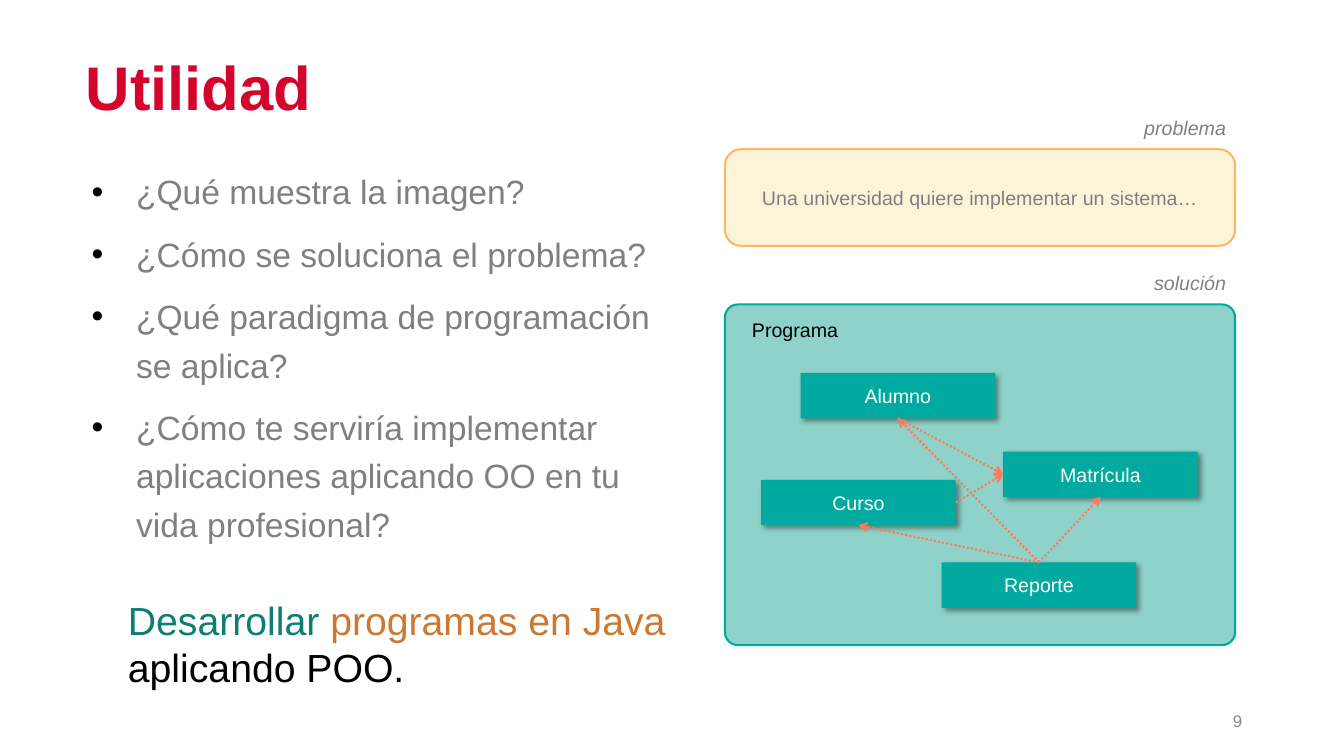
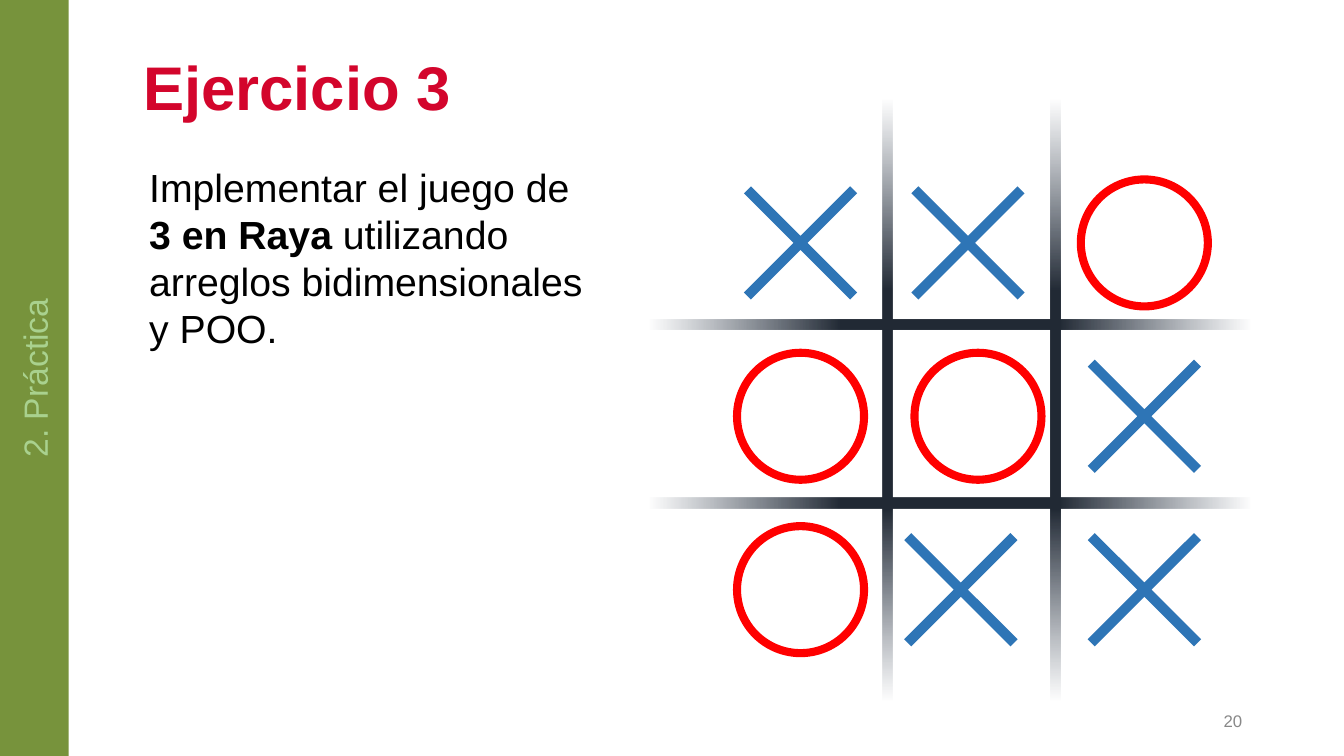
from dataclasses import dataclass

from lxml import etree
from pptx import Presentation
from pptx import util as u
from pptx.dml.color import RGBColor
from pptx.enum import dml, shapes, text
from pptx.oxml import ns

LEFT, CENTER, RIGHT = text.PP_ALIGN.LEFT, text.PP_ALIGN.CENTER, text.PP_ALIGN.RIGHT
TOP, MIDDLE = text.MSO_ANCHOR.TOP, text.MSO_ANCHOR.MIDDLE
SIDE_TOP, SIDE_LEFT, SIDE_BOTTOM, SIDE_RIGHT = range(4)


@dataclass(frozen=True)
class Theme:
    font: str = "Arial"
    title: str = "D3052C"
    black: str = "000000"
    white: str = "FFFFFF"
    gray: str = "808080"
    page_gray: str = "888888"
    teal: str = "00AAA0"
    pale_teal: str = "8ED2C9"
    dark_teal: str = "0E7D73"
    orange: str = "CC7832"
    coral: str = "FF7A5A"
    cream: str = "FCF4D9"
    amber: str = "FFB85F"
    band: str = "77933C"
    band_text: str = "A9D18E"
    cross: str = "2E75B6"
    ring: str = "FF0000"
    bar_end: str = "333F50"
    bar_core: str = "222A35"
    title_size: int = 44
    lead_size: int = 28
    body_size: int = 24
    label_size: int = 14
    page_size: int = 12


def child(parent, tag, **attributes):
    return etree.SubElement(parent, ns.qn(tag), attributes)


class Deck:
    def __init__(self, theme):
        self.theme = theme
        self.deck = Presentation()
        self.deck.slide_width = u.Inches(13.33)
        self.deck.slide_height = u.Inches(7.5)
        self.slide = None

    def new_slide(self, title, page, left):
        t = self.theme
        self.slide = self.deck.slides.add_slide(self.deck.slide_layouts[1])
        heading = self.place(self.slide.shapes.title, left, 0.47, 12.41 - left, 0.86)
        self.set_words(heading, title, t.title_size, t.title, bold=True, anchor=MIDDLE)
        heading.text_frame.paragraphs[0].line_spacing = 0.9
        self.label(page, 9.42, 6.95, 3, 0.4, t.page_size, t.page_gray,
                   align=RIGHT, anchor=MIDDLE)

    def place(self, shape, left, top, width, height):
        shape.left, shape.top = u.Inches(left), u.Inches(top)
        shape.width, shape.height = u.Inches(width), u.Inches(height)
        return shape

    def style(self, run, size, color, bold=False, italic=False):
        run.font.name = self.theme.font
        run.font.size = u.Pt(size)
        run.font.bold = bold
        run.font.italic = italic
        run.font.color.rgb = RGBColor.from_string(color)

    def set_words(self, shape, words, size, color, align=LEFT, anchor=TOP, **look):
        frame = shape.text_frame
        frame.text = words
        frame.word_wrap = True
        frame.auto_size = text.MSO_AUTO_SIZE.NONE
        frame.vertical_anchor = anchor
        for paragraph in frame.paragraphs:
            paragraph.alignment = align
            for run in paragraph.runs:
                self.style(run, size, color, **look)

    def set_parts(self, shape, parts, size, indent):
        self.set_words(shape, "", size, self.theme.black)
        paragraph = shape.text_frame.paragraphs[0]
        properties = paragraph._p.get_or_add_pPr()
        properties.set("marL", str(u.Inches(indent)))
        properties.set("indent", "0")
        child(properties, "a:buNone")
        paragraph.space_before = u.Pt(0)
        for words, color, bold in parts:
            run = paragraph.add_run()
            run.text = words
            self.style(run, size, color, bold=bold)

    def body(self, left, top, width, height):
        return self.place(self.slide.placeholders[1], left, top, width, height)

    def bullets(self, lines, left, top, width, height):
        t = self.theme
        questions = self.body(left, top, width, height)
        self.set_words(questions, "\n".join(lines), t.body_size, t.gray)
        for index, paragraph in enumerate(questions.text_frame.paragraphs):
            properties = paragraph._p.get_or_add_pPr()
            properties.set("marL", str(u.Inches(0.5)))
            properties.set("indent", str(u.Inches(-0.44)))
            child(child(properties, "a:buClr"), "a:srgbClr", val=t.black)
            child(properties, "a:buFont", typeface=t.font)
            child(properties, "a:buChar", char="•")
            paragraph.line_spacing = 1.2
            paragraph.space_before = u.Pt(10 if index else 0)

    def text_box(self, left, top, width, height):
        return self.slide.shapes.add_textbox(
            u.Inches(left), u.Inches(top), u.Inches(width), u.Inches(height))

    def label(self, words, left, top, width, height, size, color, **look):
        self.set_words(self.text_box(left, top, width, height), words, size, color, **look)

    def shape(self, kind, left, top, width, height, fill, line=None, adjust=None):
        shape = self.slide.shapes.add_shape(
            kind, u.Inches(left), u.Inches(top), u.Inches(width), u.Inches(height))
        shape.shadow.inherit = False
        shape.fill.solid()
        shape.fill.fore_color.rgb = RGBColor.from_string(fill)
        if line:
            shape.line.color.rgb = RGBColor.from_string(line)
            shape.line.width = u.Pt(1.5)
        else:
            shape.line.fill.background()
        if adjust is not None:
            shape.adjustments[0] = adjust
        return shape

    def panel(self, left, top, width, height, fill, line, adjust):
        return self.shape(shapes.MSO_SHAPE.ROUNDED_RECTANGLE,
                          left, top, width, height, fill, line, adjust)

    def class_box(self, name, left, top):
        t = self.theme
        box = self.shape(shapes.MSO_SHAPE.RECTANGLE, left, top, 1.93, 0.45, t.teal)
        self.set_words(box, name, t.label_size, t.white, align=CENTER, anchor=MIDDLE)
        effects = box._element.spPr.find(ns.qn("a:effectLst"))
        shadow = child(effects, "a:outerShdw", blurRad=str(u.Pt(4)), dist=str(u.Pt(3)),
                       dir="2700000", algn="tl", rotWithShape="0")
        child(child(shadow, "a:srgbClr", val=t.black), "a:alpha", val="40000")
        return box

    def arrow(self, source, source_side, target, target_side):
        link = self.slide.shapes.add_connector(shapes.MSO_CONNECTOR.STRAIGHT, 0, 0, 0, 0)
        link.begin_connect(source, source_side)
        link.end_connect(target, target_side)
        link.line.color.rgb = RGBColor.from_string(self.theme.coral)
        link.line.width = u.Pt(1.5)
        link.line.dash_style = dml.MSO_LINE.ROUND_DOT
        child(link._element.spPr.find(ns.qn("a:ln")), "a:tailEnd", type="arrow")
        child(link._element.spPr, "a:effectLst")

    def section_band(self, words):
        t = self.theme
        band = self.shape(shapes.MSO_SHAPE.RECTANGLE, 0, 0, 0.68, 7.5, t.band)
        self.set_words(band, words, t.body_size, t.band_text, align=CENTER, anchor=MIDDLE)
        band._element.txBody.find(ns.qn("a:bodyPr")).set("vert", "vert270")

    def board_bar(self, left, top, width, height):
        t = self.theme
        bar = self.shape(shapes.MSO_SHAPE.RECTANGLE, left, top, width, height, t.bar_core)
        bar.fill.gradient()
        bar.fill.gradient_angle = 90 if height > width else 0
        stops = bar._element.spPr.find(".//" + ns.qn("a:gsLst"))
        for stop in list(stops):
            stops.remove(stop)
        for position, color, alpha in ((0, t.bar_end, 0), (32, t.bar_core, 100),
                                       (68, t.bar_core, 100), (100, t.bar_end, 0)):
            stop = child(stops, "a:gs", pos=str(position * 1000))
            tint = child(stop, "a:srgbClr", val=color)
            if alpha < 100:
                child(tint, "a:alpha", val=str(alpha * 1000))

    def mark(self, player, center_x, center_y):
        kind, size, color, adjust, turn = {
            "X": (shapes.MSO_SHAPE.CROSS, 1.49, self.theme.cross, 0.467, 45),
            "O": (shapes.MSO_SHAPE.DONUT, 1.34, self.theme.ring, 0.06, 0),
        }[player]
        piece = self.shape(kind, center_x - size / 2, center_y - size / 2,
                           size, size, color, adjust=adjust)
        piece.rotation = turn


def utility_slide(deck):
    t = deck.theme
    deck.new_slide("Utilidad", "9", 0.75)
    deck.bullets([
        "¿Qué muestra la imagen?",
        "¿Cómo se soluciona el problema?",
        "¿Qué paradigma de programación se aplica?",
        "¿Cómo te serviría implementar aplicaciones aplicando OO en tu vida profesional?",
    ], 0.75, 1.57, 6.06, 4.2)
    deck.set_parts(deck.text_box(0.92, 5.87, 6.69, 1.04), [
        ("Desarrollar ", t.dark_teal, False),
        ("programas en Java ", t.orange, False),
        ("aplicando POO.", t.black, False),
    ], t.lead_size, 0.25)

    deck.panel(7.19, 3.02, 5.06, 3.38, t.pale_teal, t.teal, 0.038)
    deck.label("Programa", 7.36, 3.11, 1.2, 0.34, t.label_size, t.black)
    student = deck.class_box("Alumno", 7.94, 3.7)
    enrolment = deck.class_box("Matrícula", 9.95, 4.48)
    course = deck.class_box("Curso", 7.55, 4.76)
    report = deck.class_box("Reporte", 9.34, 5.58)
    deck.arrow(student, SIDE_BOTTOM, enrolment, SIDE_LEFT)
    deck.arrow(course, SIDE_RIGHT, enrolment, SIDE_LEFT)
    for target in (enrolment, course, student):
        deck.arrow(report, SIDE_TOP, target, SIDE_BOTTOM)

    problem = deck.panel(7.19, 1.48, 5.06, 0.96, t.cream, t.amber, 0.167)
    deck.set_words(problem, "Una universidad quiere implementar un sistema…",
                   t.label_size, t.gray, align=CENTER, anchor=MIDDLE)
    for caption, top in (("problema", 1.1), ("solución", 2.64)):
        deck.label(caption, 11.06, top, 1.2, 0.34, t.label_size, t.gray,
                   align=RIGHT, italic=True)


def exercise_slide(deck):
    t = deck.theme
    deck.new_slide("Ejercicio 3", "20", 1.32)
    deck.set_parts(deck.body(1.32, 1.57, 4.74, 5.23), [
        ("Implementar el juego de ", t.black, False),
        ("3 en Raya", t.black, True),
        (" utilizando arreglos bidimensionales y POO.", t.black, False),
    ], t.lead_size, 0.06)
    deck.section_band("2. Práctica")

    for left in (8.75, 10.42):
        deck.board_bar(left, 0.99, 0.1, 5.96)
    for top in (3.17, 4.94):
        deck.board_bar(6.44, top, 5.96, 0.1)
    board = [
        [("X", 7.94), ("X", 9.6), ("O", 11.35)],
        [("O", 7.94), ("O", 9.7), ("X", 11.35)],
        [("O", 7.94), ("X", 9.53), ("X", 11.35)],
    ]
    for row, marks in enumerate(board):
        for player, center_x in marks:
            deck.mark(player, center_x, 2.41 + 1.72 * row)


def main():
    deck = Deck(Theme())
    utility_slide(deck)
    exercise_slide(deck)
    deck.deck.save("out.pptx")


if __name__ == "__main__":
    main()
